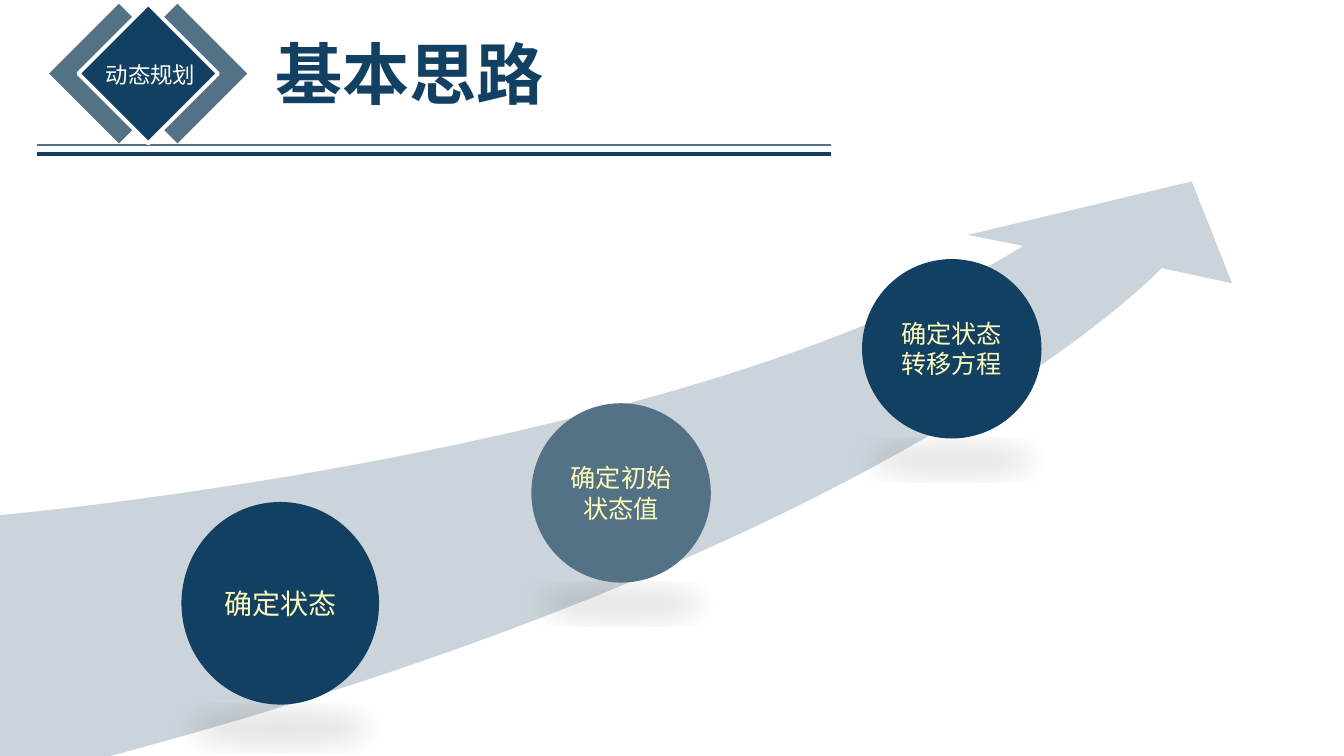
"""Build the slide of basic steps in dynamic programming."""
import pptx
import pptx.util
import pptx.dml.color
import pptx.enum.shapes
import pptx.enum.text
import pptx.oxml
import pptx.oxml.ns
from lxml import etree

Inches = pptx.util.Inches
KIND = pptx.enum.shapes.MSO_SHAPE
ALIGN = pptx.enum.text.PP_ALIGN
ANCHOR = pptx.enum.text.MSO_ANCHOR

NAVY, SLATE, WHITE, CREAM = "124062", "537285", "FFFFFF", "FEFABC"
TITLE = ("基本思路", (2.63, 0.27, 2.88, 0.91))
LABEL = ("动态规划", (0.95, 0.56, 1.09, 0.37))
RULES = [(1.44, SLATE, 1), (1.53, NAVY, 3)]
GEMS = [(1.27, SLATE, 0), (0.69, SLATE, 0), (0.98, NAVY, 2.75)]
STEPS = [
    ("确定状态", (1.8, 4.98, 1.96, 2.01), NAVY, 20),
    ("确定初始状态值", (5.27, 4, 1.78, 1.78), SLATE, 18),
    ("确定状态转移方程", (8.55, 2.57, 1.78, 1.78), NAVY, 18),
]
UPPER = [(0, 5.11), (0, 5.11), (6.83, 4.51), (10.15, 2.44)]
HEAD = [(9.6, 2.33), (11.82, 1.8), (12.22, 2.81)]
LOWER = [(11.52, 2.66), (11.52, 2.66), (8.77, 5.64), (0, 7.78)]
SHADOW = (
    '<a:effectLst %s><a:outerShdw blurRad="241300" dist="38100" dir="5400000"'
    ' sx="90000" sy="-19000" algn="b" rotWithShape="0"><a:srgbClr val="000000">'
    '<a:alpha val="10000"/></a:srgbClr></a:outerShdw></a:effectLst>'
) % pptx.oxml.ns.nsdecls("a")


def rgb(code):
    return pptx.dml.color.RGBColor.from_string(code)


def box(place):
    return [Inches(part) for part in place]


def style(item, form):
    for name, value in form.items():
        setattr(item, name, value)


def write(shape, text, size, face, color, align=ALIGN.LEFT, bold=False, **frame):
    style(shape.text_frame, {"auto_size": pptx.enum.text.MSO_AUTO_SIZE.NONE, **frame})
    para = shape.text_frame.paragraphs[0]
    para.alignment = align
    run = para.add_run()
    run.text = text
    style(run.font, {"size": pptx.util.Pt(size), "name": face, "bold": bold})
    run.font.color.rgb = rgb(color)


def paint(shape, color, edge=0):
    shape.shadow.inherit = False
    shape.fill.solid()
    shape.fill.fore_color.rgb = rgb(color)
    if edge:
        shape.line.color.rgb = rgb(WHITE)
        shape.line.width = pptx.util.Pt(edge)
    else:
        shape.line.fill.background()


def curve(ends, count=40):
    a, b, c, d = ends
    for step in range(count + 1):
        t = step / count
        u = 1 - t
        yield tuple(
            u**3 * a[i] + 3 * u * u * t * b[i] + 3 * u * t * t * c[i] + t**3 * d[i]
            for i in (0, 1)
        )


def rule(shapes, top, color, width):
    line = shapes.add_connector(
        pptx.enum.shapes.MSO_CONNECTOR.STRAIGHT, *box((8.24, top, 0.37, top)))
    line.line.color.rgb = rgb(color)
    line.line.width = pptx.util.Pt(width)
    etree.SubElement(line._element.spPr, pptx.oxml.ns.qn("a:effectLst"))


def gem(shapes, left, color, edge):
    shape = shapes.add_shape(KIND.ROUNDED_RECTANGLE, *box((left, 0.24, 0.98, 0.98)))
    shape.adjustments[0] = 0
    shape.rotation = 45
    paint(shape, color, edge)


def arrow(shapes):
    start, *rest = [box(dot) for dot in [*curve(UPPER), *HEAD, *curve(LOWER)]]
    path = shapes.build_freeform(*start)
    path.add_line_segments(rest)
    shape = path.convert_to_shape()
    paint(shape, SLATE)
    tint = shape._element.spPr.find(".//" + pptx.oxml.ns.qn("a:srgbClr"))
    etree.SubElement(tint, pptx.oxml.ns.qn("a:alpha")).set("val", "30000")


def ball(shapes, text, place, color, size):
    shape = shapes.add_shape(KIND.OVAL, *box(place))
    paint(shape, color)
    props = shape._element.spPr
    props.replace(props.find(pptx.oxml.ns.qn("a:effectLst")),
                  pptx.oxml.parse_xml(SHADOW))
    write(shape, text, size, "Arial Narrow", CREAM, ALIGN.CENTER,
          word_wrap=True, vertical_anchor=ANCHOR.MIDDLE)


def main():
    deck = pptx.Presentation()
    style(deck, {"slide_width": Inches(13.33), "slide_height": Inches(7.5)})
    slide = deck.slides.add_slide(deck.slide_layouts[5])
    shapes = slide.shapes
    text, place = TITLE
    style(shapes.title, dict(zip(("left", "top", "width", "height"), box(place))))
    write(shapes.title, text, 48, "Montserrat", NAVY, bold=True,
          word_wrap=False, vertical_anchor=ANCHOR.TOP)
    for row in RULES:
        rule(shapes, *row)
    for row in GEMS:
        gem(shapes, *row)
    text, place = LABEL
    write(shapes.add_textbox(*box(place)), text, 16, "Arial Narrow", WHITE,
          word_wrap=False)
    arrow(shapes)
    for row in STEPS:
        ball(shapes, *row)
    deck.save("out.pptx")


if __name__ == "__main__":
    main()
